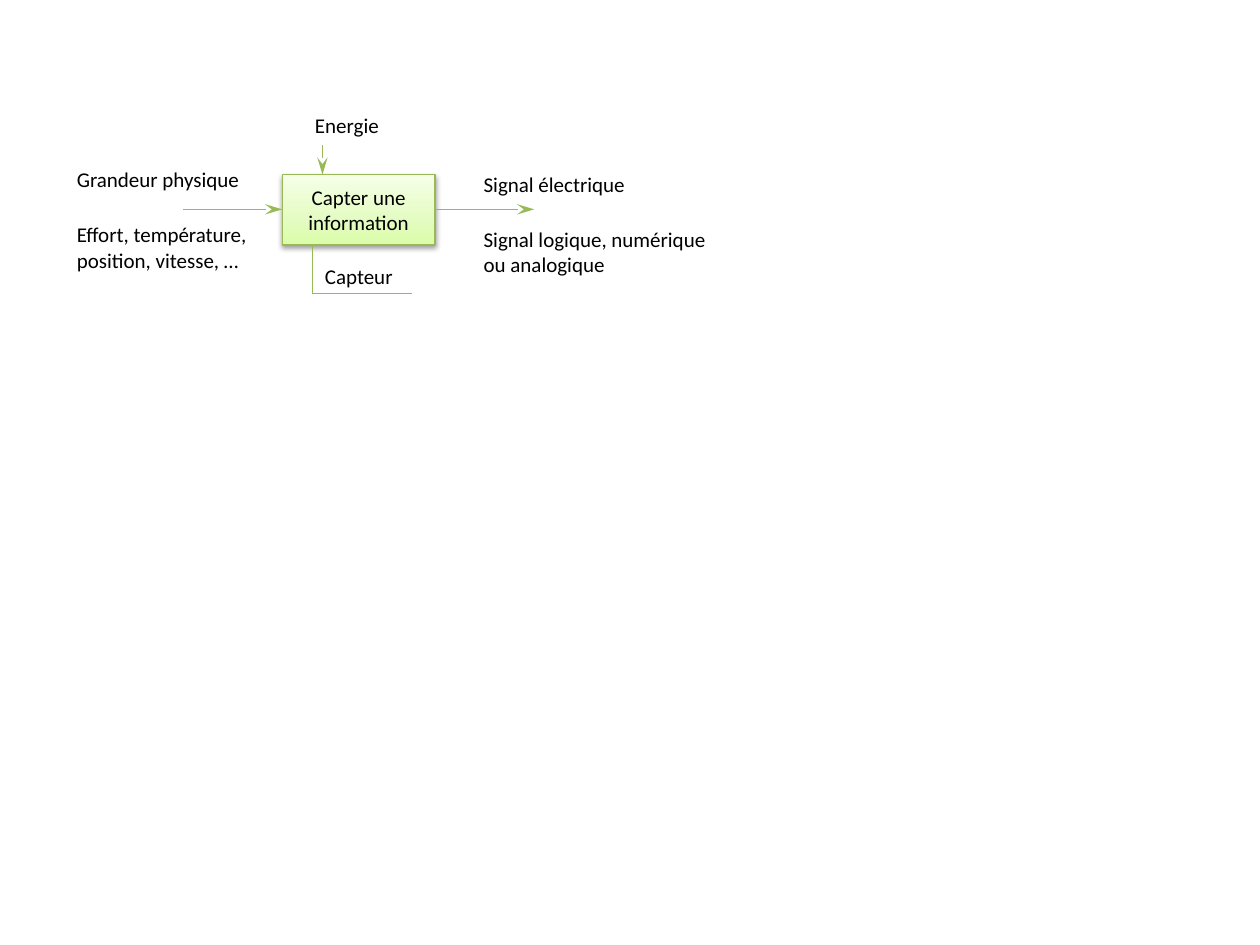
"""Build the slide showing the sensor function: physical quantity in, electrical signal out."""
import pptx
import pptx.dml.color
import pptx.enum.shapes
import pptx.enum.text
import pptx.oxml
import pptx.oxml.ns
import pptx.util

Cm = pptx.util.Cm
Pt = pptx.util.Pt
BLACK = pptx.dml.color.RGBColor(0x00, 0x00, 0x00)
GREEN = pptx.dml.color.RGBColor(0x98, 0xB9, 0x55)
NAMESPACE = pptx.oxml.ns.nsdecls("a")


def write(shape, text):
    shape.text_frame.text = text
    font = shape.text_frame.paragraphs[0].runs[0].font
    font.name = "Calibri"
    font.size = Pt(12)
    font.color.rgb = BLACK


def draw_line(start, end, arrow):
    line = slide.shapes.add_connector(
        pptx.enum.shapes.MSO_CONNECTOR.STRAIGHT,
        Cm(start[0]), Cm(start[1]), Cm(end[0]), Cm(end[1]))
    line.line.color.rgb = GREEN
    line.line.width = Pt(0.75)
    if arrow:
        line.line._get_or_add_ln().append(pptx.oxml.parse_xml(
            f'<a:tailEnd {NAMESPACE} type="stealth" w="med" len="lg"/>'))
    line._element.spPr.append(pptx.oxml.parse_xml(f"<a:effectLst {NAMESPACE}/>"))


presentation = pptx.Presentation()
presentation.slide_width = Cm(25.4)
presentation.slide_height = Cm(19.05)
slide = presentation.slides.add_slide(presentation.slide_layouts[6])

left, top, width, height = 5.69, 3.52, 3.08, 1.42
right, bottom = left + width, top + height
flow_y = 4.22
flow_length = 2
holder_x, holder_y = 6.3, 5.92
energy_x = 6.5

function = slide.shapes.add_shape(
    pptx.enum.shapes.MSO_SHAPE.RECTANGLE, Cm(left), Cm(top), Cm(width), Cm(height))
function.line.color.rgb = GREEN
function.line.width = Pt(0.75)
function.fill.gradient()
function.fill.gradient_angle = 90
gradient = function._element.spPr.find(pptx.oxml.ns.qn("a:gradFill"))
stops = gradient.find(pptx.oxml.ns.qn("a:gsLst"))
for stop in list(stops):
    stops.remove(stop)
for position, colour in ((0, "DAFDA7"), (35, "E4FCC2"), (100, "F5FFE7")):
    stops.append(pptx.oxml.parse_xml(
        f'<a:gs {NAMESPACE} pos="{position * 1000}"><a:srgbClr val="{colour}"/></a:gs>'))
function._element.spPr.append(pptx.oxml.parse_xml(
    f'<a:effectLst {NAMESPACE}><a:outerShdw blurRad="{Pt(3.1)}" dist="{Pt(1.6)}" '
    'dir="5400000" rotWithShape="0"><a:srgbClr val="000000"><a:alpha val="38000"/>'
    '</a:srgbClr></a:outerShdw></a:effectLst>'))
write(function, "Capter une information")
function.text_frame.vertical_anchor = pptx.enum.text.MSO_ANCHOR.MIDDLE
function.text_frame.paragraphs[0].alignment = pptx.enum.text.PP_ALIGN.CENTER

for start, end, arrow in (
    ((holder_x, bottom), (holder_x, holder_y), False),
    ((holder_x, holder_y), (8.3, holder_y), False),
    ((left - flow_length, flow_y), (left, flow_y), True),
    ((right, flow_y), (right + flow_length, flow_y), True),
    ((energy_x, 2.92), (energy_x, top), True),
):
    draw_line(start, end, arrow)

for text, x, y, label_width, label_height, wrap in (
    ("Capteur", 6.3, 5.18, 1.88, 0.77, False),
    ("Effort, température, position, vitesse, …", 1.3, 4.35, 3.96, 1.28, True),
    ("Grandeur physique", 1.3, 3.24, 3.96, 0.77, True),
    ("Signal logique, numérique ou analogique", 9.5, 4.44, 5, 1.28, True),
    ("Signal électrique", 9.5, 3.33, 3.96, 0.77, True),
    ("Energie", 6.1, 2.15, 1.8, 0.77, False),
):
    label = slide.shapes.add_textbox(Cm(x), Cm(y), Cm(label_width), Cm(label_height))
    write(label, text)
    label.text_frame.word_wrap = wrap
    label.text_frame.auto_size = pptx.enum.text.MSO_AUTO_SIZE.SHAPE_TO_FIT_TEXT

presentation.save("out.pptx")
